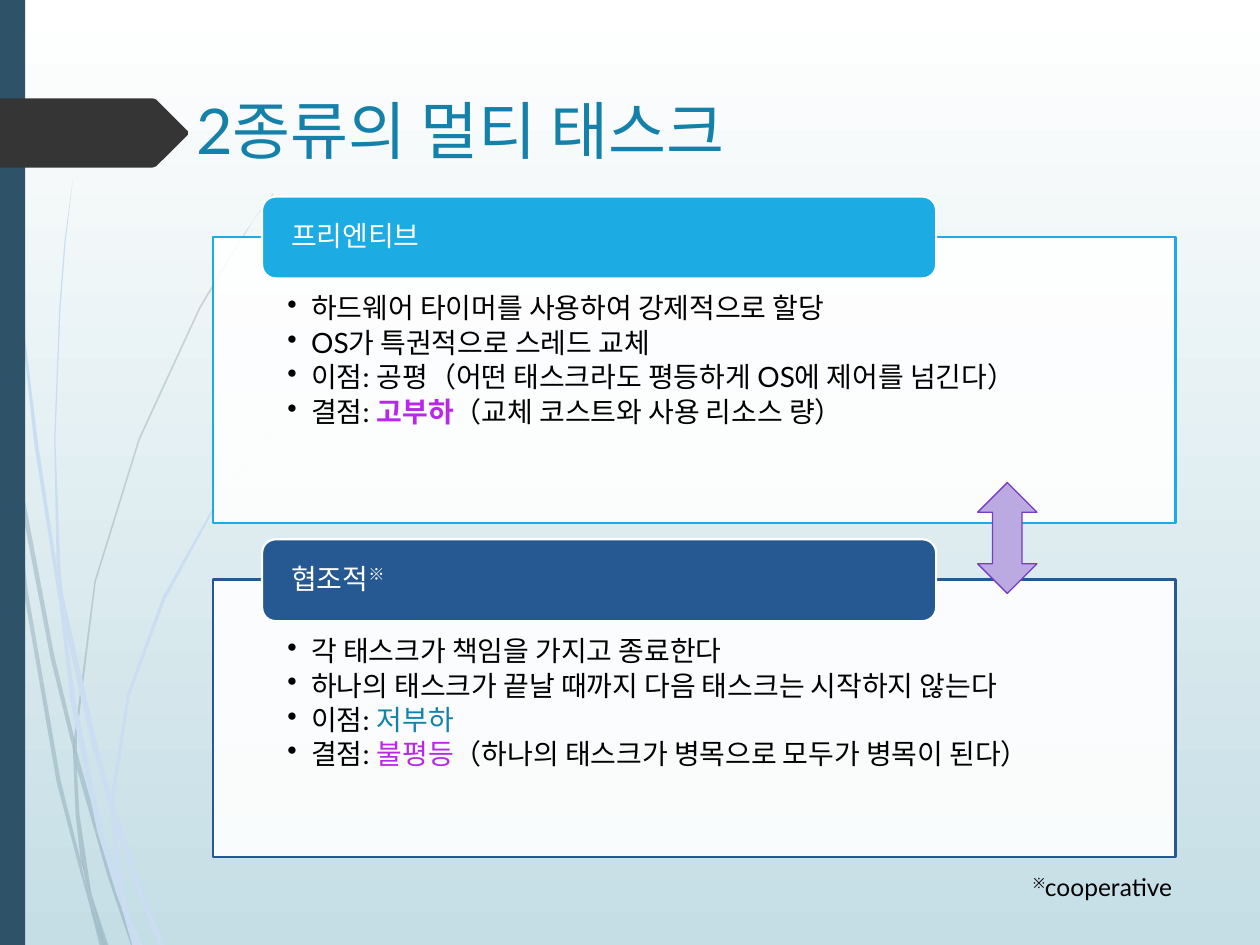
import pptx
import pptx.util
import pptx.dml.color
import pptx.enum.shapes
import pptx.enum.text
import pptx.oxml.ns
import lxml.etree

Inches = pptx.util.Inches
Pt = pptx.util.Pt
SHAPES = pptx.enum.shapes.MSO_SHAPE
ANCHORS = pptx.enum.text.MSO_ANCHOR

FONT = "Lato"
NAVY, BLADE, CHARCOAL = "2E5369", "CBDDF1", "353535"
BLUE, DEEP, TEAL, PURPLE = "1CACE3", "265991", "1581AA", "B927E9"
WHITE, BLACK = "FFFFFF", "000000"

NAVY_STRANDS = [
    [(0.08, 3.5), (0.06, 3.22), (0, 2.82), (0, 2.99), (0.07, 3.44)],
    [(0.4, 5.22), (0.59, 5.99), (0.59, 5.86), (0.43, 5.2), (0.1, 3.45), (0.12, 3.76)],
    [(0.64, 6.07), (0.61, 5.96), (0.61, 6.1), (0.85, 6.94), (1.04, 7.5), (1.08, 7.5),
     (0.88, 6.92)],
    [(0.83, 7.5), (0.86, 7.5), (0.73, 7.11)],
    [(0.64, 6.83), (0.48, 6.19), (0.22, 4.69), (0.12, 3.76), (0.08, 3.5), (0.19, 4.7),
     (0.45, 6.21), (0.64, 6.93), (0.7, 7.14), (0.69, 7.07)],
    [(0.58, 5.99), (0.6, 6.46), (0.64, 6.83), (0.67, 6.92), (0.73, 7.11), (0.72, 7.06),
     (0.63, 6.46), (0.61, 6.1), (0.61, 6.08)],
    [(0.61, 5.84), (0.76, 4.62), (1.11, 3.49), (1.59, 2.45), (1.87, 1.98), (2.01, 1.75),
     (2.17, 1.54), (2.17, 1.53), (2.01, 1.75), (1.86, 1.97), (1.58, 2.44), (1.1, 3.48),
     (0.75, 4.61), (0.59, 5.84), (0.59, 5.86), (0.61, 5.96)],
    [(0.7, 7.14), (0.79, 7.5), (0.82, 7.5)],
    [(0.61, 6.08), (0.61, 6.1), (0.61, 5.96), (0.59, 5.86), (0.58, 5.99)],
    [(0.67, 6.92), (0.65, 6.83), (0.69, 7.07), (0.7, 7.14), (0.82, 7.5), (0.83, 7.5),
     (0.73, 7.11)],
]
BLADE_STRANDS = [
    [(0.05, 1.06), (0.14, 2.29), (0.27, 3.51), (0.46, 4.73), (0.47, 4.77), (0.45, 4.53),
     (0.45, 4.49), (0.3, 3.51), (0.15, 2.28), (0.06, 1.05), (0.04, 0.44), (0.03, 0),
     (0.02, 0), (0.03, 0.44)],
    [(0.73, 5.92), (0.88, 6.45), (0.88, 6.33), (0.88, 6.31), (0.77, 5.9), (0.5, 4.72),
     (0.53, 5.05)],
    [(0.94, 6.49), (0.91, 6.41), (0.91, 6.56), (1.09, 7.08), (1.26, 7.5), (1.3, 7.5),
     (1.13, 7.06)],
    [(0.91, 6.91), (0.81, 6.57), (0.6, 5.56), (0.53, 5.05), (0.47, 4.77), (0.56, 5.57),
     (0.77, 6.59), (0.92, 7.08), (0.97, 7.22), (0.96, 7.17)],
    [(0.5, 4.72), (0.48, 4.53), (0.44, 3.49), (0.48, 2.45), (0.52, 1.93), (0.58, 1.41),
     (0.51, 1.93), (0.47, 2.45), (0.43, 3.49), (0.45, 4.49), (0.49, 4.72)],
    [(1.1, 7.5), (1.13, 7.5), (1, 7.19)],
    [(0.47, 4.77), (0.53, 5.05), (0.5, 4.72), (0.49, 4.72), (0.45, 4.49), (0.45, 4.53)],
    [(0.91, 6.33), (1.03, 5.52), (1.31, 4.76), (1.69, 4.06), (1.91, 3.74), (2.03, 3.59),
     (2.16, 3.44), (2.15, 3.44), (2.03, 3.58), (1.91, 3.73), (1.68, 4.05), (1.29, 4.74),
     (1.01, 5.51), (0.88, 6.31), (0.91, 6.41)],
    [(0.97, 7.22), (1.05, 7.5), (1.08, 7.5)],
    [(0.88, 6.45), (0.91, 6.91), (0.96, 7.06), (1, 7.19), (1, 7.16), (0.91, 6.56),
     (0.9, 6.51)],
    [(0.88, 6.45), (0.9, 6.51), (0.91, 6.56), (0.91, 6.41), (0.88, 6.31), (0.88, 6.33)],
    [(0.96, 7.06), (0.91, 6.91), (0.96, 7.17), (0.97, 7.22), (1.08, 7.5), (1.1, 7.5),
     (1, 7.19)],
]
TAG = [(0, 0.78), (1.21, 0.78), (1.24, 0.79), (1.49, 1.04), (1.49, 1.07), (1.24, 1.32),
       (1.21, 1.33), (0, 1.33)]

TITLE = "2종류의 멀티 태스크"
FOOTNOTE = [("※", {"raised": True}), ("cooperative", {})]
PANELS = [
    {"color": BLUE, "top": 1.88, "height": 2.27, "heading": [("프리엔티브", {})],
     "points": [
         [("하드웨어 타이머를 사용하여 강제적으로 할당", {})],
         [("OS가 특권적으로 스레드 교체", {})],
         [("이점: 공평（어떤 태스크라도 평등하게 OS에 제어를 넘긴다）", {})],
         [("결점: ", {}), ("고부하", {"color": PURPLE, "bold": True}),
          ("（교체 코스트와 사용 리소스 량）", {})]]},
    {"color": DEEP, "top": 4.6, "height": 2.2,
     "heading": [("협조적", {}), ("※", {"raised": True})],
     "points": [
         [("각 태스크가 책임을 가지고 종료한다", {})],
         [("하나의 태스크가 끝날 때까지 다음 태스크는 시작하지 않는다", {})],
         [("이점: ", {}), ("저부하", {"color": TEAL})],
         [("결점: ", {}), ("불평등", {"color": PURPLE}),
          ("（하나의 태스크가 병목으로 모두가 병목이 된다）", {})]]},
]


def rgb(color):
    return pptx.dml.color.RGBColor.from_string(color)


def paint(shape, fill, line=None, width=1.25, opacity=None):
    shape.shadow.inherit = False
    shape.fill.solid()
    shape.fill.fore_color.rgb = rgb(fill)
    if opacity:
        color = shape.fill._xPr.find(".//" + pptx.oxml.ns.qn("a:srgbClr"))
        alpha = lxml.etree.SubElement(color, pptx.oxml.ns.qn("a:alpha"))
        alpha.set("val", str(opacity * 1000))
    if line:
        shape.line.color.rgb = rgb(line)
        shape.line.width = Pt(width)
    else:
        shape.line.fill.background()


def add_preset(page, kind, place, *style, **options):
    shape = page.shapes.add_shape(kind, *map(Inches, place))
    paint(shape, *style, **options)
    return shape


def add_outline(page, points, fill, opacity=None):
    corners = [(Inches(x), Inches(y)) for x, y in points]
    builder = page.shapes.build_freeform(*corners[0])
    builder.add_line_segments(corners[1:], close=True)
    paint(builder.convert_to_shape(), fill, opacity=opacity)


def write(box, paras, size, color, insets=(0.1, 0.05, 0.1, 0.05), anchor=ANCHORS.TOP,
          wrap=True, bullet=False, spacing=None, after=None):
    frame = box.text_frame
    frame.word_wrap = wrap
    frame.vertical_anchor = anchor
    (frame.margin_left, frame.margin_top,
     frame.margin_right, frame.margin_bottom) = map(Inches, insets)
    for index, spans in enumerate(paras):
        para = frame.paragraphs[0] if index == 0 else frame.add_paragraph()
        para.alignment = pptx.enum.text.PP_ALIGN.LEFT
        if spacing:
            para.line_spacing = spacing
        if after:
            para.space_after = Pt(after)
        if bullet:
            properties = para._p.get_or_add_pPr()
            properties.set("marL", str(Inches(0.19)))
            properties.set("indent", str(-Inches(0.19)))
            mark = lxml.etree.SubElement(properties, pptx.oxml.ns.qn("a:buChar"))
            mark.set("char", "•")
        para.font.name = FONT
        para.font.size = Pt(size)
        para.font.color.rgb = rgb(color)
        for text, style in spans:
            span = para.add_run()
            span.text = text
            if "color" in style:
                span.font.color.rgb = rgb(style["color"])
            if "bold" in style:
                span.font.bold = True
            if "raised" in style:
                span._r.get_or_add_rPr().set("baseline", "30000")


def add_panel(page, panel):
    top, color = panel["top"], panel["color"]
    body = add_preset(page, SHAPES.RECTANGLE, (1.69, top, 7.64, panel["height"]),
                      WHITE, color, opacity=90)
    write(body, panel["points"], 16, BLACK, insets=(0.59, 0.46, 0.59, 0.12),
          bullet=True, spacing=0.9, after=2.4)
    header = add_preset(page, SHAPES.ROUNDED_RECTANGLE, (2.08, top - 0.32, 5.35, 0.65),
                        color, WHITE)
    write(header, [panel["heading"]], 16, WHITE, insets=(0.2, 0, 0.2, 0),
          anchor=ANCHORS.MIDDLE, spacing=0.9)


def main():
    deck = pptx.Presentation()
    deck.slide_width, deck.slide_height = Inches(10), Inches(7.5)
    page = deck.slides.add_slide(deck.slide_layouts[6])
    backdrop = page.background.fill
    backdrop.gradient()
    backdrop.gradient_angle = 270
    for stop, color, position in zip(backdrop.gradient_stops, (WHITE, "C5DEE5"), (0, 1)):
        stop.color.rgb = rgb(color)
        stop.position = position

    for strand in NAVY_STRANDS:
        add_outline(page, strand, NAVY, opacity=20)
    for strand in BLADE_STRANDS:
        add_outline(page, strand, BLADE)
    add_preset(page, SHAPES.RECTANGLE, (0, 0, 0.2, 7.5), NAVY)
    add_outline(page, TAG, CHARCOAL)

    title = page.shapes.add_textbox(*map(Inches, (1.46, 0.68, 7.85, 0.7)))
    write(title, [[(TITLE, {})]], 36, TEAL)
    footnote = page.shapes.add_textbox(*map(Inches, (8.1, 6.87, 1.35, 0.34)))
    write(footnote, [FOOTNOTE], 14, BLACK, wrap=False)
    for panel in PANELS:
        add_panel(page, panel)
    add_preset(page, SHAPES.UP_DOWN_ARROW, (7.76, 3.83, 0.47, 0.88), "BBA9E1", "783DC3",
               width=0.75)
    deck.save("out.pptx")


if __name__ == "__main__":
    main()
